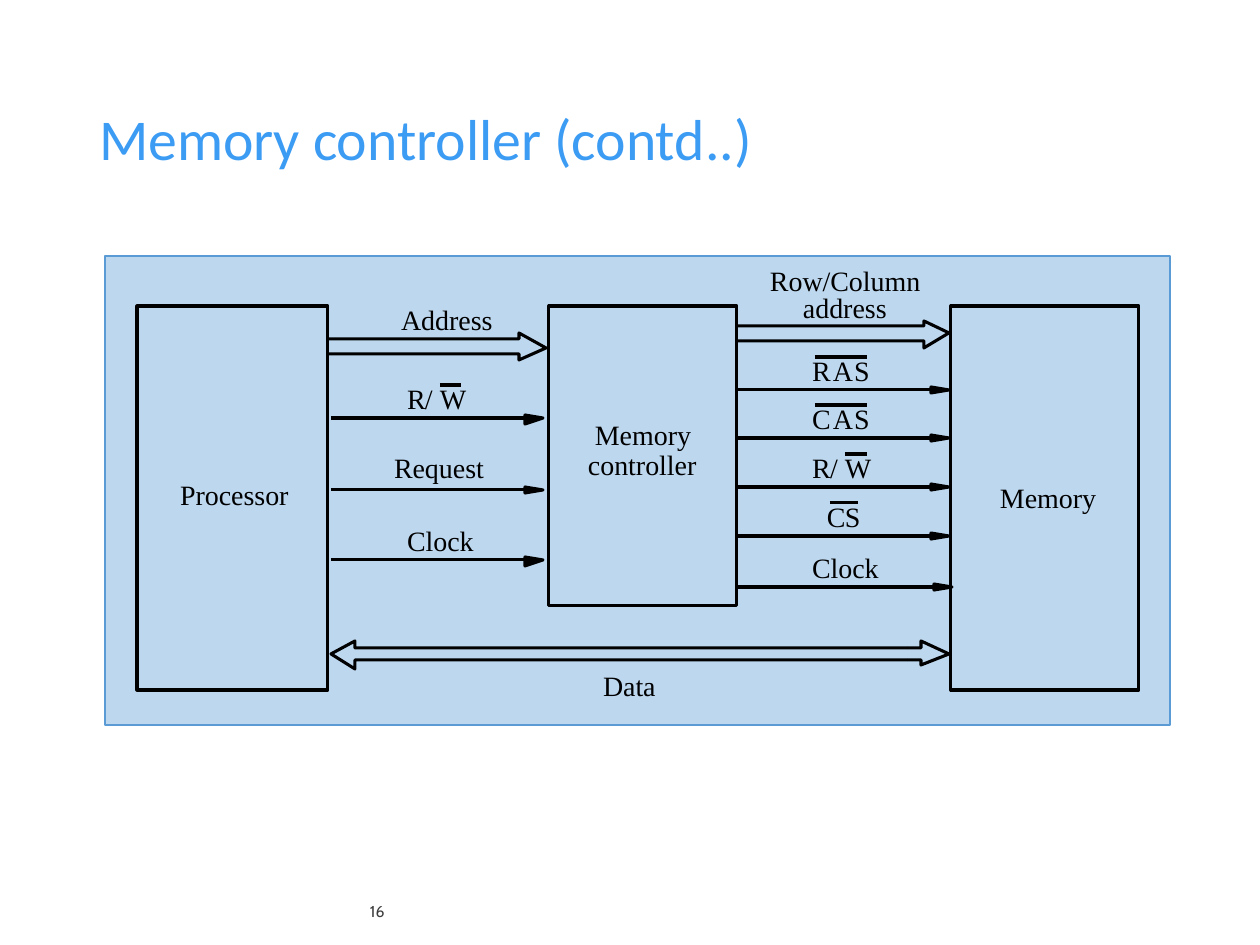
import pptx
import pptx.dml.color
import pptx.enum.shapes
import pptx.enum.text
import pptx.oxml.ns
import pptx.util
from lxml import etree

PX = 914400 / 126
BLACK = "000000"
SERIF = "Times New Roman"
# Width of each label in px
WIDTHS = {"R": 19, "A": 21, "S": 16, "C": 19, "/": 8, "W": 27, "Clock": 68,
          "Request": 92, "Address": 93, "Row/Column": 152, "address": 85,
          "Memory": 98, "controller": 110, "Processor": 110, "Data": 54}


def px(n):
    return pptx.util.Emu(round(n * PX))


def rgb(color):
    return pptx.dml.color.RGBColor.from_string(color)


def write(shape, text, size=16, font=SERIF, color=BLACK, anchor="TOP",
          inset=0, wrap=True, spacing=None):
    tf = shape.text_frame
    tf.word_wrap = wrap
    tf.auto_size = (pptx.enum.text.MSO_AUTO_SIZE.NONE if wrap
                    else pptx.enum.text.MSO_AUTO_SIZE.SHAPE_TO_FIT_TEXT)
    tf.vertical_anchor = pptx.enum.text.MSO_ANCHOR[anchor]
    tf.margin_left = tf.margin_right = px(inset)
    tf.margin_top = tf.margin_bottom = px(inset)
    p = tf.paragraphs[0]
    p.alignment = pptx.enum.text.PP_ALIGN.LEFT
    p.line_spacing = spacing
    r = p.add_run()
    r.text = text
    r.font.size = pptx.util.Pt(size)
    r.font.name = font
    r.font.color.rgb = rgb(color)


def add_label(s, text, x, y):
    write(s.shapes.add_textbox(px(x), px(y), px(WIDTHS[text]), px(34)),
          text, wrap=False)


def paint(shape, fill=None, line=BLACK, width=1.75):
    shape.shadow.inherit = False
    if fill:
        shape.fill.solid()
        shape.fill.fore_color.rgb = rgb(fill)
    else:
        shape.fill.background()
    shape.line.color.rgb = rgb(line)
    shape.line.width = pptx.util.Pt(width)


def add_box(s, x, y, w, h, **style):
    shape = s.shapes.add_shape(pptx.enum.shapes.MSO_SHAPE.RECTANGLE,
                               px(x), px(y), px(w), px(h))
    paint(shape, **style)


def add_outline(s, points, close=False, **style):
    builder = s.shapes.build_freeform(*points[0], scale=PX)
    builder.add_line_segments(points[1:], close=close)
    paint(builder.convert_to_shape(), **style)


def add_line(s, x1, x2, y):
    line = s.shapes.add_connector(pptx.enum.shapes.MSO_CONNECTOR.STRAIGHT,
                                  px(x1), px(y), px(x2), px(y))
    line.line.color.rgb = rgb(BLACK)
    line.line.width = pptx.util.Pt(1.75)
    etree.SubElement(line._element.spPr, pptx.oxml.ns.qn("a:effectLst"))


def add_block_arrow(s, tail, neck, tip, y, shaft, head):
    """Open-tailed hollow arrow; shaft and head are (top, bottom) pairs."""
    add_outline(s, [(tail, shaft[1]), (neck, shaft[1]), (neck, head[1]),
                    (tip, y), (neck, head[0]), (neck, shaft[0]),
                    (tail, shaft[0])])


def add_signal(s, x1, x2, y, pieces, bar=None, drop=3, lift=36):
    """Arrow with its label pieces above it and an optional overline."""
    neck = x2 - 18
    add_line(s, x1, neck, y)
    add_outline(s, [(neck, y + drop), (x2, y), (neck, y - 3), (neck, y)],
                close=True, fill=BLACK)
    for text, x in pieces:
        add_label(s, text, x, y - lift)
    if bar:
        add_line(s, *bar, y - 33)


def add_processor_side(s):
    add_block_arrow(s, 328, 519, 546, 348, (339, 354), (333, 360))
    add_label(s, "Address", 401, 303)
    add_signal(s, 331, 543, 418, [("R", 407), ("/", 425), ("W", 440)],
               bar=(440, 461), drop=6)
    add_signal(s, 331, 543, 490, [("Request", 394)], lift=39)
    add_signal(s, 331, 543, 560, [("Clock", 407)], drop=6)


def add_memory_side(s):
    add_block_arrow(s, 737, 924, 949, 333, (326, 341), (321, 348))
    add_label(s, "Row/Column", 770, 264)
    add_label(s, "address", 803, 291)
    signals = [
        ([("R", 812), ("A", 833), ("S", 854)], (815, 867)),
        ([("C", 812), ("A", 833), ("S", 854)], (815, 867)),
        ([("R", 812), ("/", 830), ("W", 845)], (845, 867)),
        ([("C", 827), ("S", 845)], (830, 858)),
    ]
    for i, (pieces, bar) in enumerate(signals):
        add_signal(s, 737, 949, 390 + round(48.5 * i), pieces, bar=bar)
    add_signal(s, 737, 952, 587, [("Clock", 812)])


def add_data_bus(s):
    for neck, tip, head in [(355, 331, (641, 669)), (921, 949, (641, 665))]:
        add_block_arrow(s, 908, neck, tip, 654, (648, 660), head)
    add_label(s, "Data", 603, 669)


def main():
    prs = pptx.Presentation()
    prs.slide_width, prs.slide_height = px(1260), px(945)
    s = prs.slides.add_slide(prs.slide_layouts[5])

    title = s.shapes.title
    title.left, title.top = px(86), px(50)
    title.width, title.height = px(1087), px(183)
    write(title, "Memory controller (contd..)", size=33, font="Calibri",
          color="3C9CF4", anchor="MIDDLE", inset=13, spacing=0.9)
    write(s.shapes.add_textbox(px(364), px(892), px(759), px(38)), "16",
          size=9, font="Cabin", color="3F3F3F", anchor="MIDDLE", inset=6)

    add_box(s, 105, 256, 1065, 469, fill="BDD7EE", line="5B9BD5", width=1)
    add_processor_side(s)
    add_memory_side(s)
    add_data_bus(s)

    for x, w, h in [(137, 191, 384), (951, 188, 384), (549, 188, 300)]:
        add_box(s, x, 306, w, h)
    add_label(s, "Processor", 180, 478)
    add_label(s, "Memory", 595, 418)
    add_label(s, "controller", 588, 448)
    add_label(s, "Memory", 1000, 481)

    prs.save("out.pptx")


if __name__ == "__main__":
    main()
